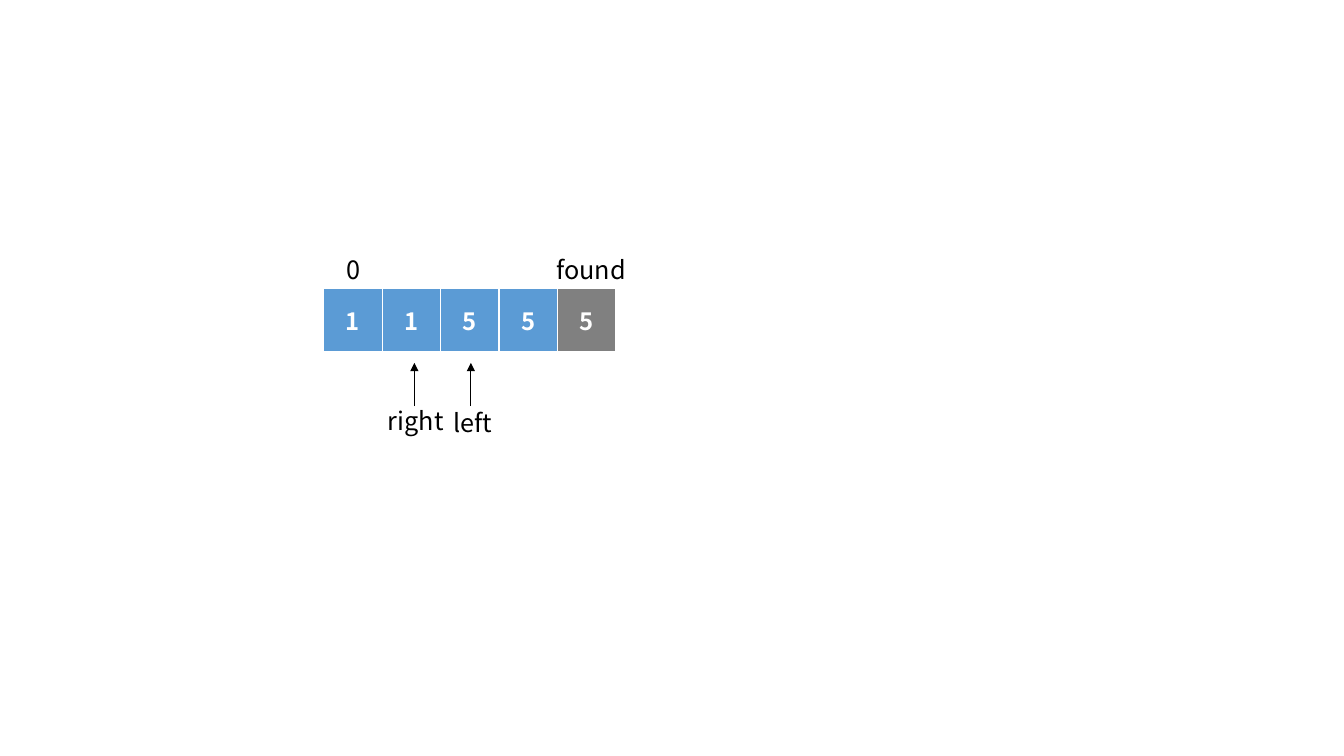
from dataclasses import dataclass

from lxml import etree
from pptx import Presentation
from pptx.dml.color import RGBColor
from pptx.enum.shapes import MSO_CONNECTOR
from pptx.enum.text import MSO_ANCHOR, MSO_AUTO_SIZE, PP_ALIGN
from pptx.oxml.ns import qn
from pptx.util import Emu, Pt

EMU_PER_PX = 9144
BLANK_LAYOUT = 6
STRAIGHT = MSO_CONNECTOR.STRAIGHT
MIDDLE = MSO_ANCHOR.MIDDLE
CENTER = PP_ALIGN.CENTER
LEFT = PP_ALIGN.LEFT
FIT_TEXT = MSO_AUTO_SIZE.SHAPE_TO_FIT_TEXT


@dataclass(frozen=True)
class Theme:
    """Colours, font and sizes in points."""
    font: str = "Noto Sans CJK SC"
    ink: str = "000000"
    white: str = "FFFFFF"
    active: str = "5B9BD5"
    found: str = "808080"
    label_size: int = 18
    cell_size: int = 17
    arrow_width: float = 0.5
    border: int = 1
    bottom_border: int = 3


def px(length):
    """Turn px into EMU."""
    return Emu(length * EMU_PER_PX)


def write_text(text_frame, text, size, color, bold=False, align=LEFT):
    """Write one formatted paragraph."""
    paragraph = text_frame.paragraphs[0]
    paragraph.alignment = align
    run = paragraph.add_run()
    run.text = text
    font = run.font
    font.name = theme.font
    font.size = Pt(size)
    font.bold = bold
    font.color.rgb = RGBColor.from_string(color)


class SlideBuilder:
    """Adds styled elements to one slide."""

    def __init__(self, slide, theme):
        self.slide = slide
        self.theme = theme

    def label(self, text, left, top, width, height=40):
        """Add a text box."""
        shape = self.slide.shapes.add_textbox(px(left), px(top), px(width), px(height))
        text_frame = shape.text_frame
        text_frame.word_wrap = True
        text_frame.auto_size = FIT_TEXT
        write_text(text_frame, text, self.theme.label_size, self.theme.ink)

    def arrow(self, x, bottom, top):
        """Add an upward arrow."""
        connector = self.slide.shapes.add_connector(STRAIGHT, px(x), px(bottom), px(x), px(top))
        connector.line.color.rgb = RGBColor.from_string(self.theme.ink)
        connector.line.width = Pt(self.theme.arrow_width)
        line = connector.line._get_or_add_ln()
        etree.SubElement(line, qn("a:tailEnd"), type="triangle")
        etree.SubElement(connector._element.spPr, qn("a:effectLst"))

    def border(self, cell, side, width):
        """Draw one side of a cell's border."""
        properties = cell._tc.get_or_add_tcPr()
        line = etree.SubElement(properties, qn(f"a:ln{side}"), w=str(Pt(width)))
        fill = etree.SubElement(line, qn("a:solidFill"))
        etree.SubElement(fill, qn("a:srgbClr"), val=self.theme.white)

    def array(self, values, fills, left, top, cell_width, height):
        """Add a one-row table of values."""
        frame = self.slide.shapes.add_table(
            1, len(values), px(left), px(top), px(cell_width * len(values)), px(height))
        table = frame.table
        table.first_row = False
        table.horz_banding = False
        for cell, value, fill in zip(table.rows[0].cells, values, fills):
            for side in "LRT":
                self.border(cell, side, self.theme.border)
            self.border(cell, "B", self.theme.bottom_border)
            cell.fill.solid()
            cell.fill.fore_color.rgb = RGBColor.from_string(fill)
            cell.vertical_anchor = MIDDLE
            write_text(cell.text_frame, value, self.theme.cell_size, self.theme.white,
                       bold=True, align=CENTER)


theme = Theme()


def main():
    """Build and save the slide."""
    presentation = Presentation()
    presentation.slide_width = px(1333)
    presentation.slide_height = px(750)
    slide = presentation.slides.add_slide(presentation.slide_layouts[BLANK_LAYOUT])
    builder = SlideBuilder(slide, theme)

    builder.array("11555", [theme.active] * 4 + [theme.found], 321, 286, 58, 64)
    for pointer_x in (467, 411):
        builder.arrow(pointer_x, 403, 360)
    for text, left, top, width in (
        ("found", 542, 247, 107),
        ("0", 334, 247, 107),
        ("left", 440, 399, 107),
        ("right", 375, 397, 83),
    ):
        builder.label(text, left, top, width)

    presentation.save("out.pptx")


if __name__ == "__main__":
    main()
